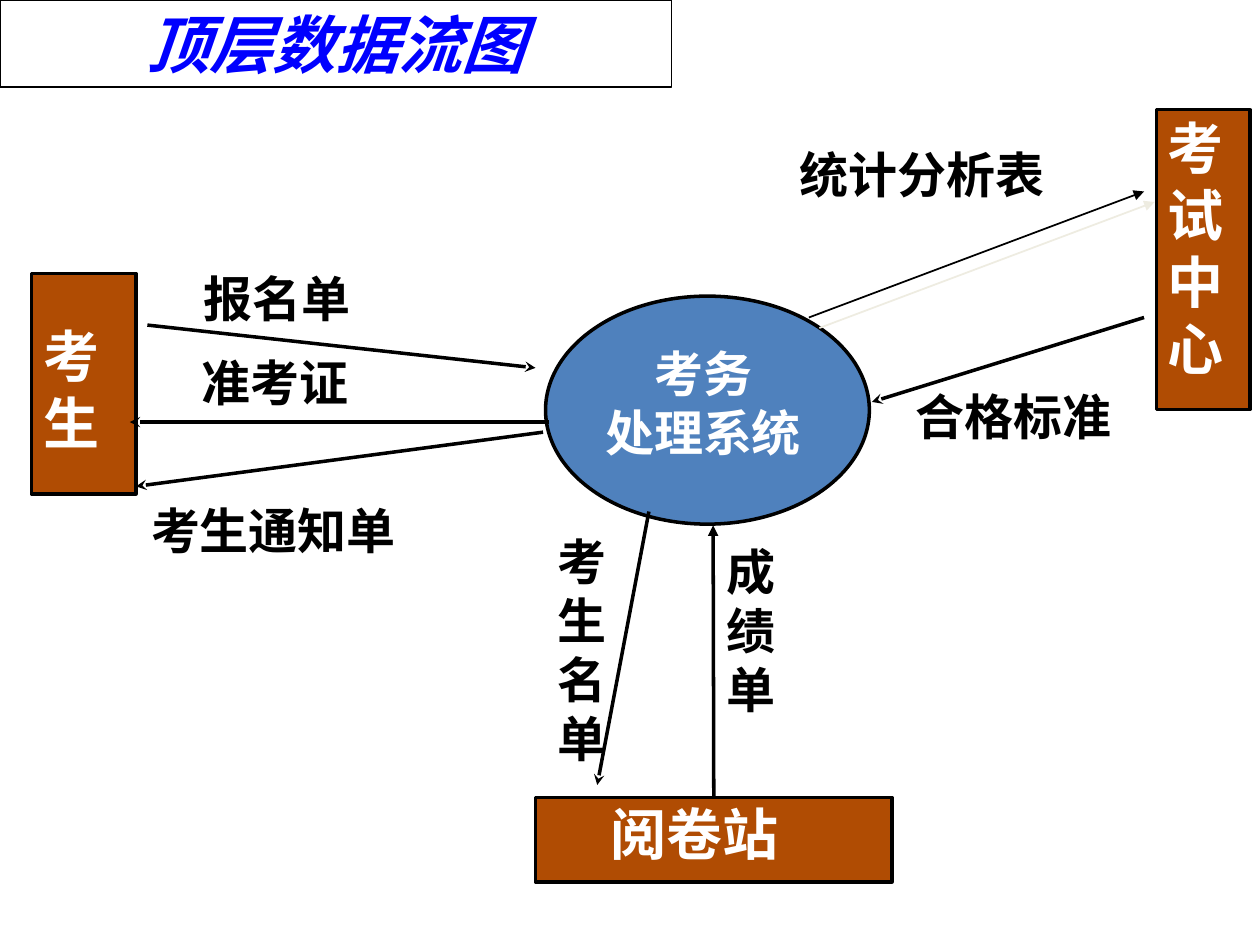
from typing import NamedTuple, Optional

from lxml.etree import SubElement
from pptx import Presentation
from pptx.dml.color import RGBColor
from pptx.enum.shapes import MSO_CONNECTOR, MSO_SHAPE
from pptx.enum.text import MSO_ANCHOR, MSO_AUTO_SIZE, PP_ALIGN
from pptx.oxml.ns import qn
from pptx.util import Inches, Pt

BLACK = RGBColor(0x00, 0x00, 0x00)
WHITE = RGBColor(0xFF, 0xFF, 0xFF)
TITLE_BLUE = RGBColor(0x00, 0x00, 0xFF)
ENTITY_BROWN = RGBColor(0xB0, 0x4C, 0x03)
PROCESS_BLUE = RGBColor(0x4F, 0x81, 0xBD)
SHADOW_CREAM = "EEECE1"
CJK_FONT = "Noto Sans CJK SC"


class Box(NamedTuple):
    left: float
    top: float
    width: float
    height: float


class Node(NamedTuple):
    outline: Box
    label_box: Box
    text: str
    fill: RGBColor = ENTITY_BROWN
    geometry: MSO_SHAPE = MSO_SHAPE.RECTANGLE
    size: int = 32
    align: Optional[PP_ALIGN] = None


class Flow(NamedTuple):
    start: tuple[float, float]
    end: tuple[float, float]
    label_box: Box
    text: str
    arrowhead: str = "stealth"
    weight: float = 2
    shadowed: bool = False


CANDIDATE = Node(Box(0.25, 2.17, 0.83, 1.75), Box(0.25, 2.5, 0.93, 1.17), "考\n生")
SYSTEM = Node(Box(4.33, 2.35, 2.57, 1.81), Box(4.33, 2.68, 2.5, 1.03), "考务\n处理系统",
              PROCESS_BLUE, MSO_SHAPE.OVAL, 28, PP_ALIGN.CENTER)
EXAM_CENTER = Node(Box(9.18, 0.87, 0.74, 2.38), Box(9.17, 0.85, 0.92, 2.23), "考\n试\n中\n心")
MARKING_STATION = Node(Box(4.25, 6.33, 2.83, 0.67), Box(4.75, 6.3, 2.08, 0.63), "阅卷站")

SCORES = Flow((5.66, 6.33), (5.66, 4.17), Box(5.67, 4.25, 0.5, 1.52), "成\n绩\n单", "triangle")
FLOWS = [
    Flow((1.17, 2.58), (4.25, 2.92), Box(1.52, 2.08, 2.25, 0.57), "报名单"),
    Flow((4.36, 3.35), (1.03, 3.35), Box(1.5, 2.75, 2, 0.57), "准考证"),
    Flow((4.31, 3.43), (1.08, 3.86), Box(1.1, 3.92, 2.75, 0.57), "考生通知单"),
    Flow((5.15, 4.06), (4.74, 6.23), Box(4.33, 4.17, 0.75, 1.97), "考生名\n单"),
    Flow((9.08, 2.52), (6.92, 3.19), Box(7.17, 3.02, 2.33, 0.57), "合格标准"),
    Flow((6.42, 2.52), (9.08, 1.52), Box(6.25, 1.1, 2.58, 0.57), "统计分析表",
         "triangle", 1, True),
]


def inches(values):
    return [Inches(value) for value in values]


def write(frame, text: str, size: int, color: RGBColor, font: str = CJK_FONT,
          align: Optional[PP_ALIGN] = None, italic: Optional[bool] = None):
    frame.word_wrap = True
    frame.text = text
    for paragraph in frame.paragraphs:
        paragraph.alignment = align
        paragraph.font.size = Pt(size)
        paragraph.font.bold = True
        paragraph.font.italic = italic
        paragraph.font.color.rgb = color
        paragraph.font.name = font
        defaults = paragraph._p.pPr.find(qn("a:defRPr"))
        SubElement(defaults, qn("a:ea"), typeface=font)


def add_label(slide, box: Box, text: str, size: int, color: RGBColor,
              align: Optional[PP_ALIGN] = None):
    label = slide.shapes.add_textbox(*inches(box))
    write(label.text_frame, text, size, color, align=align)
    label.text_frame.auto_size = MSO_AUTO_SIZE.SHAPE_TO_FIT_TEXT


def add_outline(slide, geometry: MSO_SHAPE, box: Box, weight: float,
                fill: Optional[RGBColor] = None):
    outline = slide.shapes.add_shape(geometry, *inches(box))
    outline.shadow.inherit = False
    if fill is None:
        outline.fill.background()
    else:
        outline.fill.solid()
        outline.fill.fore_color.rgb = fill
    outline.line.color.rgb = BLACK
    outline.line.width = Pt(weight)
    return outline


def add_node(slide, node: Node):
    outline = add_outline(slide, node.geometry, node.outline, 2, node.fill)
    add_label(slide, node.label_box, node.text, node.size, WHITE, node.align)
    return outline


def add_flow(slide, flow: Flow):
    arrow = slide.shapes.add_connector(MSO_CONNECTOR.STRAIGHT, *inches(flow.start + flow.end))
    arrow.line.color.rgb = BLACK
    arrow.line.width = Pt(flow.weight)
    properties = arrow._element.spPr
    SubElement(properties.find(qn("a:ln")), qn("a:tailEnd"), type=flow.arrowhead)
    effects = SubElement(properties, qn("a:effectLst"))
    if flow.shadowed:
        shadow = SubElement(effects, qn("a:outerShdw"), dist=str(Pt(8.5)),
                            dir=str(45 * 60000), algn="ctr", rotWithShape="0")
        SubElement(shadow, qn("a:srgbClr"), val=SHADOW_CREAM)
    add_label(slide, flow.label_box, flow.text, 28, BLACK)
    return arrow


def main():
    presentation = Presentation()
    presentation.slide_width = Inches(10)
    presentation.slide_height = Inches(7.5)
    slide = presentation.slides.add_slide(presentation.slide_layouts[6])

    title = add_outline(slide, MSO_SHAPE.RECTANGLE, Box(0, 0, 5.33, 0.69), 0.75)
    title.text_frame.vertical_anchor = MSO_ANCHOR.MIDDLE
    write(title.text_frame, "顶层数据流图", 36, TITLE_BLUE, "Calibri", PP_ALIGN.CENTER, True)

    for node in (CANDIDATE, SYSTEM, EXAM_CENTER):
        add_node(slide, node)
    station = add_node(slide, MARKING_STATION)
    for flow in FLOWS:
        add_flow(slide, flow)
    add_flow(slide, SCORES).begin_connect(station, 0)

    presentation.save("out.pptx")


if __name__ == "__main__":
    main()
